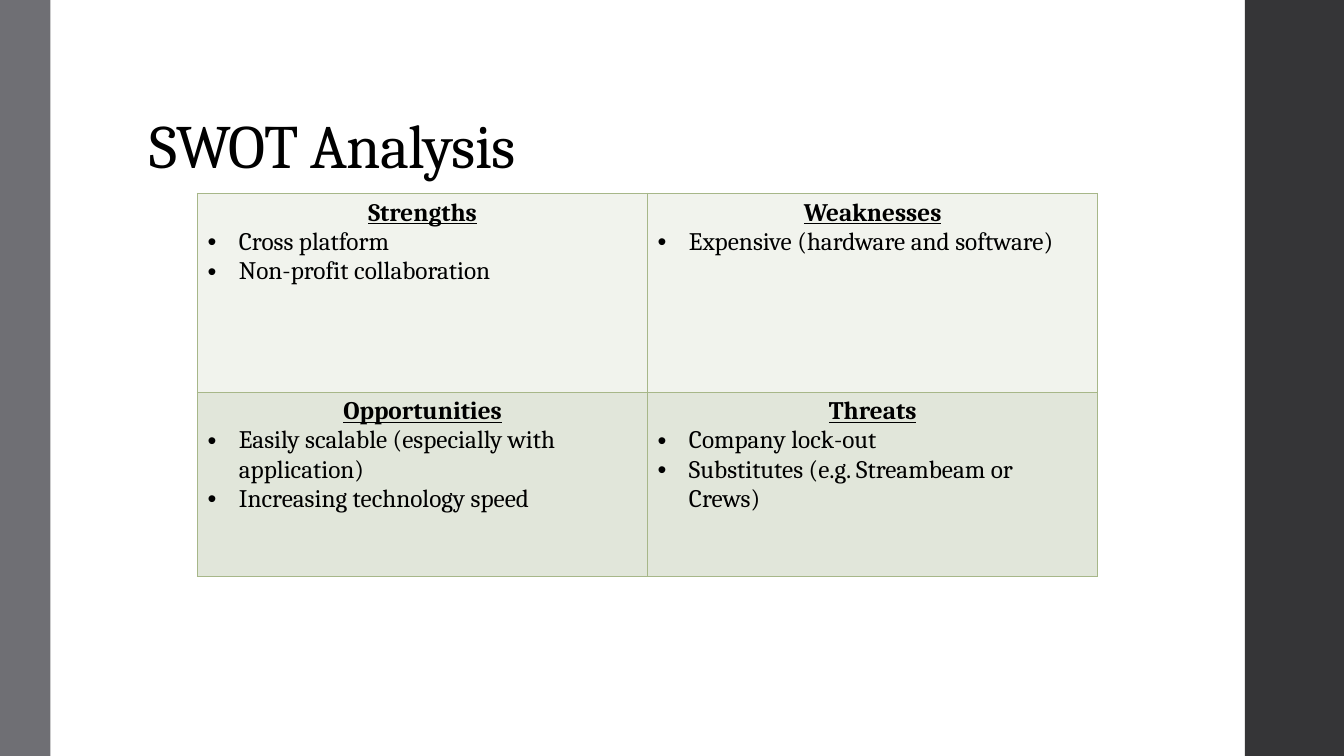
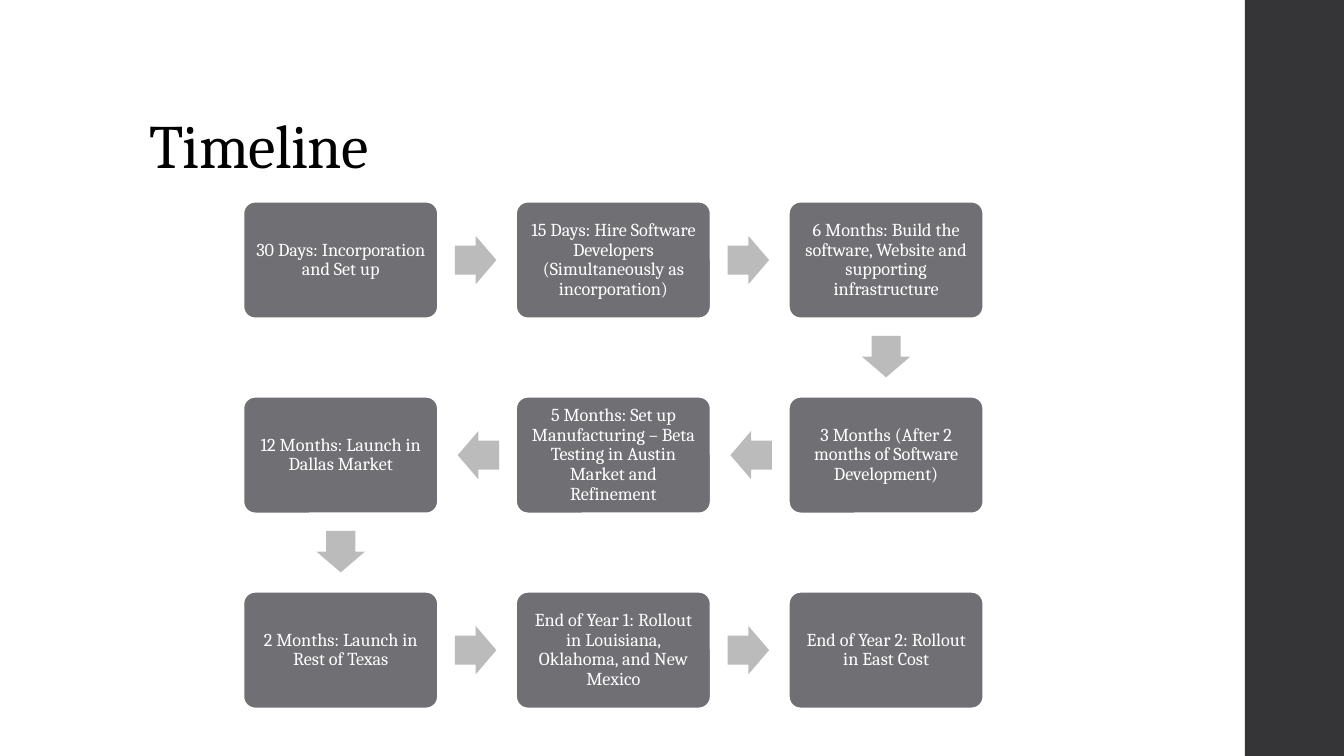
import itertools

import pptx
import pptx.dml.color
import pptx.enum.shapes
import pptx.enum.text
import pptx.oxml
import pptx.oxml.ns
import pptx.util

SHAPE = pptx.enum.shapes.MSO_SHAPE
ALIGN = pptx.enum.text.PP_ALIGN
ANCHOR = pptx.enum.text.MSO_ANCHOR
Inches = pptx.util.Inches
Pt = pptx.util.Pt

FONT = "Cambria"
BLACK, WHITE = "000000", "FFFFFF"
DARK, GREY, ARROW = "353537", "6F6F74", "BBBBBC"
BORDER = "A7B789"
ROW_FILLS = ["F1F3ED", "E1E6DA"]

SWOT = [
    [("Strengths", ["Cross platform", "Non-profit collaboration"]),
     ("Weaknesses", ["Expensive (hardware and software)"])],
    [("Opportunities", ["Easily scalable (especially with application)",
                        "Increasing technology speed"]),
     ("Threats", ["Company lock-out", "Substitutes (e.g. Streambeam or Crews)"])],
]

STEPS = [
    "30 Days: Incorporation and Set up",
    "15 Days: Hire Software Developers (Simultaneously as incorporation)",
    "6 Months: Build the software, Website and supporting infrastructure",
    "3 Months (After 2 months of Software Development)",
    "5 Months: Set up Manufacturing – Beta Testing in Austin Market and Refinement",
    "12 Months: Launch in Dallas Market",
    "2 Months: Launch in Rest of Texas",
    "End of Year 1: Rollout in Louisiana, Oklahoma, and New Mexico",
    "End of Year 2: Rollout in East Cost",
]


def color(value):
    return pptx.dml.color.RGBColor.from_string(value)


def add_xml(parent, xml):
    """Append a DrawingML fragment, whose root is in the a: namespace."""
    tag, rest = xml[1:].split(" ", 1)
    names = pptx.oxml.ns.nsdecls("a")
    parent.append(pptx.oxml.parse_xml(f"<{tag} {names} {rest}"))


def write(para, text, size=18, ink=BLACK, align=ALIGN.LEFT, heading=False,
          bullet=False, line_spacing=None, tracking=None):
    para.alignment = align
    if line_spacing:
        para.line_spacing = line_spacing
    if bullet:
        props = para._p.get_or_add_pPr()
        props.set("marL", str(Inches(0.31)))
        props.set("indent", str(-Inches(0.31)))
        add_xml(props, '<a:buFont typeface="Arial"/>')
        add_xml(props, '<a:buChar char="•"/>')
    span = para.add_run()
    span.text = text
    span.font.name, span.font.size = FONT, Pt(size)
    span.font.color.rgb = color(ink)
    span.font.bold = span.font.underline = heading
    if tracking:
        span._r.get_or_add_rPr().set("spc", str(round(tracking * 100)))


class Deck:
    """Holds the style and the current slide; lengths are percent of its size."""

    def __init__(self):
        self.file = pptx.Presentation()
        self.file.slide_width = Inches(13.33)
        self.file.slide_height = Inches(7.5)
        self.page = None

    def across(self, share):
        return round(self.file.slide_width * share / 100)

    def down(self, share):
        return round(self.file.slide_height * share / 100)

    def area(self, left, top, width, height):
        return self.across(left), self.down(top), self.across(width), self.down(height)

    def start(self, title):
        self.page = self.file.slides.add_slide(self.file.slide_layouts[5])
        self.band(92.63, 7.37, DARK)
        box = self.page.shapes.title
        box.left, box.top, box.width, box.height = self.area(10.35, 5.33, 79.5, 19.33)
        frame = box.text_frame
        frame.auto_size = pptx.enum.text.MSO_AUTO_SIZE.NONE
        frame.vertical_anchor = ANCHOR.BOTTOM
        write(frame.paragraphs[0], title, size=44, line_spacing=0.9, tracking=-0.5)

    def shape(self, kind, area, fill, line=None):
        box = self.page.shapes.add_shape(kind, *self.area(*area))
        box.shadow.inherit = False
        box.fill.solid()
        box.fill.fore_color.rgb = color(fill)
        if line:
            box.line.color.rgb = color(line)
            box.line.width = Pt(1.1)
        else:
            box.line.fill.background()
        return box

    def band(self, left, width, fill):
        self.shape(SHAPE.RECTANGLE, (left, 0, width, 100), fill)

    def step(self, center, size, text):
        (x, y), (width, height) = center, size
        area = x - width / 2, y - height / 2, width, height
        box = self.shape(SHAPE.ROUNDED_RECTANGLE, area, GREY, WHITE)
        box.adjustments[0] = 0.1
        frame = box.text_frame
        frame.word_wrap = True
        frame.vertical_anchor = ANCHOR.MIDDLE
        frame.margin_left = frame.margin_right = Inches(0.08)
        frame.margin_top = frame.margin_bottom = Inches(0.08)
        write(frame.paragraphs[0], text, size=13, ink=WHITE,
              align=ALIGN.CENTER, line_spacing=0.9)

    def arrow(self, start, end):
        """Put a block arrow just short of midway between two step centers."""
        x, y = (a + (b - a) * 0.495 for a, b in zip(start, end))
        width, height = 3.08, 6.4
        area = x - width / 2, y - height / 2, width, height
        box = self.shape(SHAPE.RIGHT_ARROW, area, ARROW)
        box.adjustments[0], box.adjustments[1] = 0.6, 0.5
        if end[1] > start[1]:
            box.rotation = 90
        elif end[0] < start[0]:
            box.rotation = 180

    def table(self, left, top, column_width, row_heights, rows):
        columns = len(rows[0])
        area = self.area(left, top, column_width * columns, sum(row_heights))
        grid = self.page.shapes.add_table(len(rows), columns, *area).table
        grid.first_row = grid.horz_banding = False
        for row, height in zip(grid.rows, row_heights):
            row.height = self.down(height)
        for r, c in itertools.product(range(len(rows)), range(columns)):
            self.cell(grid.cell(r, c), ROW_FILLS[r], *rows[r][c])

    def cell(self, cell, fill, heading, items):
        props = cell._tc.get_or_add_tcPr()
        for side in "LRTB":
            add_xml(props, f'<a:ln{side} w="{Pt(1)}"><a:solidFill>'
                           f'<a:srgbClr val="{BORDER}"/></a:solidFill></a:ln{side}>')
        cell.fill.solid()
        cell.fill.fore_color.rgb = color(fill)
        frame = cell.text_frame
        write(frame.paragraphs[0], heading, align=ALIGN.CENTER, heading=True)
        for item in items:
            write(frame.add_paragraph(), item, bullet=True)


def swot_page(deck):
    deck.start("SWOT Analysis")
    deck.band(0, 3.75, GREY)
    deck.table(14.7, 25.6, 33.49, [26.27, 24.4], SWOT)


def snake(index, columns):
    """Column and row of a step when every second row runs backwards."""
    row, column = divmod(index, columns)
    return (columns - 1 - column if row % 2 else column), row


def timeline_page(deck):
    deck.start("Timeline")
    places = [snake(index, 3) for index in range(len(STEPS))]
    centers = [(25.35 + 20.29 * column, 34.4 + 25.8 * row) for column, row in places]
    for center, text in zip(centers, STEPS):
        deck.step(center, (14.46, 15.4), text)
    for start, end in zip(centers, centers[1:]):
        deck.arrow(start, end)


def main():
    deck = Deck()
    swot_page(deck)
    timeline_page(deck)
    deck.file.save("out.pptx")


if __name__ == "__main__":
    main()
